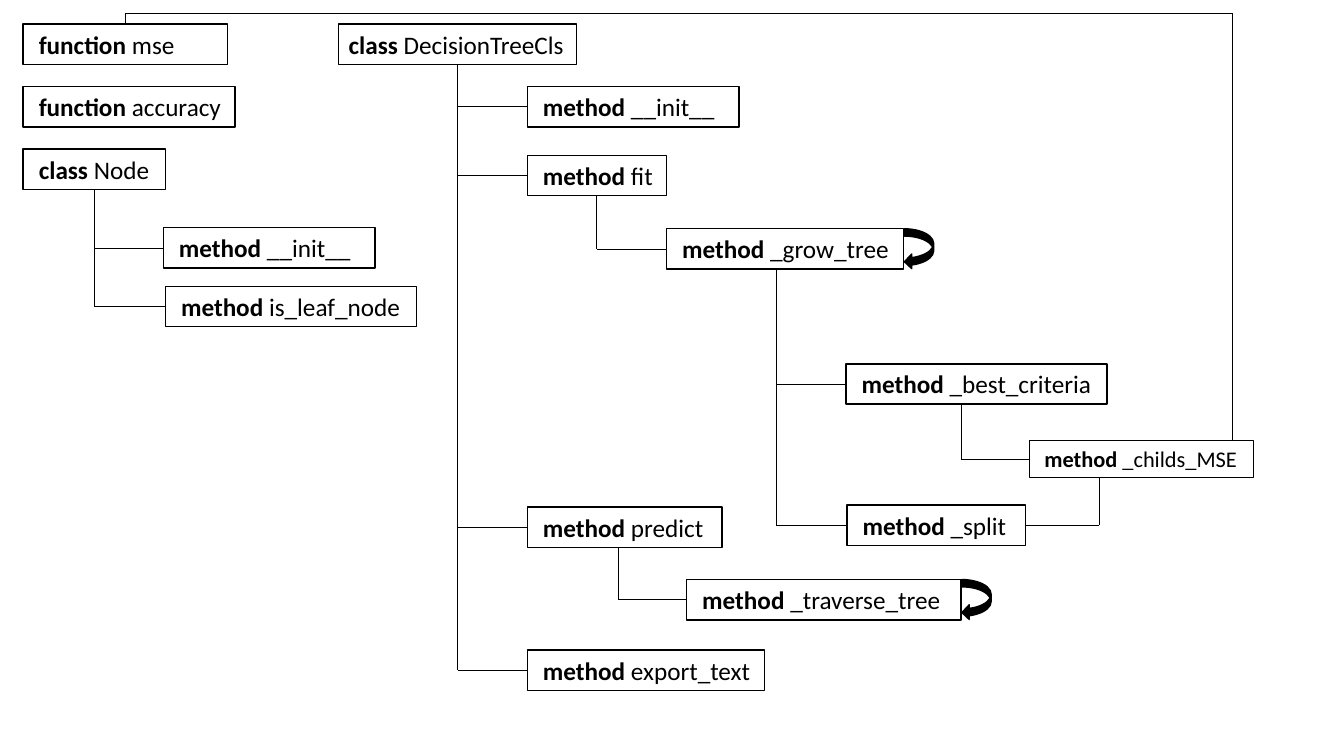
"""Build a one-slide call map of the functions, classes and methods of a decision tree."""
from lxml import etree
from pptx import Presentation
from pptx.dml.color import RGBColor
from pptx.enum.shapes import MSO_CONNECTOR, MSO_SHAPE
from pptx.enum.text import MSO_ANCHOR, MSO_AUTO_SIZE, PP_ALIGN
from pptx.oxml.ns import qn
from pptx.util import Inches, Pt

RECT, LOOP = MSO_SHAPE.RECTANGLE, MSO_SHAPE.CURVED_LEFT_ARROW
STRAIGHT = MSO_CONNECTOR.STRAIGHT
TOP, LEFT, BOTTOM, RIGHT = range(4)

BOXES = {
    "mse": (" ", "function ", "mse", 0.23, 0.24, 2.03),
    "accuracy": (" ", "function ", "accuracy", 0.23, 0.86, 2.1),
    "node": (" ", "class ", "Node", 0.23, 1.48, 1.41),
    "node_init": (" ", "method", " __init__", 1.62, 2.26, 2.1),
    "is_leaf": (" ", "method ", "is_leaf_node", 1.64, 2.84, 2.49),
    "tree": ("", "class ", "DecisionTreeCls", 3.36, 0.24, 2.36),
    "tree_init": (" ", "method", " __init__", 5.23, 0.86, 2.1),
    "fit": (" ", "method ", "fit", 5.23, 1.54, 1.38),
    "predict": (" ", "method ", "predict", 5.23, 5.03, 1.93),
    "export": (" ", "method ", "export_text", 5.23, 6.45, 2.35),
    "grow": (" ", "method", " _grow_tree", 6.61, 2.27, 2.35),
    "criteria": (" ", "method", " _best_criteria", 8.39, 3.61, 2.59),
    "split": (" ", "method", " _split", 8.4, 5.01, 1.77),
    "childs": (" ", "method", " _childs_MSE", 10.21, 4.37, 2.22),
    "traverse": (" ", "method", " _traverse_tree", 6.81, 5.75, 2.72),
}
SMALL = {"childs"}
BRANCHES = [
    ("node", None, LEFT, ["node_init", "is_leaf"]),
    ("tree", None, LEFT, ["tree_init", "fit", "predict", "export"]),
    ("fit", None, LEFT, ["grow"]),
    ("grow", 7.7, LEFT, ["criteria", "split"]),
    ("criteria", 9.53, LEFT, ["childs"]),
    ("childs", 10.9, RIGHT, ["split"]),
    ("predict", 6.13, LEFT, ["traverse"]),
]
RECURSIVE = ["grow", "traverse"]
BUS_Y, BUS_RIGHT = 0.13, 12.22
LOOP_W, LOOP_H, LOOP_GAP = 0.29, 0.4, 0.01

THEME = {
    "ink": RGBColor(0, 0, 0), "font": "Calibri",
    "size": Pt(18), "small": Pt(16), "height": 0.4, "small_height": 0.37,
    "border": Pt(1), "wire": Pt(0.5),
}
FRAME = {"word_wrap": True, "auto_size": MSO_AUTO_SIZE.SHAPE_TO_FIT_TEXT,
         "vertical_anchor": MSO_ANCHOR.TOP}


def apply(obj, values):
    for name, value in values.items():
        setattr(obj, name, value)


def add_shape(s, kind, x, y, w, h):
    sp = s.shapes.add_shape(kind, *map(Inches, (x, y, w, h)))
    sp.shadow.inherit = False
    sp.line.color.rgb = THEME["ink"]
    sp.line.width = THEME["border"]
    return sp


def add_box(s, key):
    *texts, x, y, w = BOXES[key]
    size = THEME["small" if key in SMALL else "size"]
    sp = add_shape(s, RECT, x, y, w, height(key))
    sp.fill.background()
    tf = sp.text_frame
    apply(tf, FRAME)
    p = tf.paragraphs[0]
    p.alignment = PP_ALIGN.LEFT
    for text, bold in zip(texts, (False, True, False)):
        if text:
            r = p.add_run()
            r.text = text
            apply(r.font, {"name": THEME["font"], "size": size, "bold": bold})
            r.font.color.rgb = THEME["ink"]
    return sp


def height(key):
    return THEME["small_height" if key in SMALL else "height"]


def side(key, site):
    x, y, w = BOXES[key][3:]
    h = height(key)
    return {TOP: (x + w / 2, y), LEFT: (x, y + h / 2),
            BOTTOM: (x + w / 2, y + h), RIGHT: (x + w, y + h / 2)}[site]


def add_wire(s, start, end, begin_join=None, end_join=None):
    c = s.shapes.add_connector(STRAIGHT, *map(Inches, (*start, *end)))
    c.line.color.rgb = THEME["ink"]
    c.line.width = THEME["wire"]
    etree.SubElement(c._element.spPr, qn("a:effectLst"))
    if begin_join:
        c.begin_connect(*begin_join)
    if end_join:
        c.end_connect(*end_join)


def main():
    prs = Presentation()
    prs.slide_width, prs.slide_height = Inches(13.33), Inches(7.5)
    s = prs.slides.add_slide(prs.slide_layouts[6])
    boxes = {key: add_box(s, key) for key in BOXES}

    for parent, trunk_x, site, children in BRANCHES:
        center_x, bottom = side(parent, BOTTOM)
        join = (boxes[parent], BOTTOM) if trunk_x is None else None
        x = center_x if trunk_x is None else trunk_x
        add_wire(s, (x, bottom), (x, side(children[-1], site)[1]), join)
        for child in children:
            end = side(child, site)
            add_wire(s, (x, end[1]), end, end_join=(boxes[child], site))

    mse_top = side("mse", TOP)
    corner, far_corner = (mse_top[0], BUS_Y), (BUS_RIGHT, BUS_Y)
    add_wire(s, mse_top, corner, (boxes["mse"], TOP))
    add_wire(s, corner, far_corner)
    add_wire(s, far_corner, (BUS_RIGHT, side("childs", TOP)[1]))

    for key in RECURSIVE:
        x, y = side(key, RIGHT)
        sp = add_shape(s, LOOP, x + LOOP_GAP, y - LOOP_H / 2, LOOP_W, LOOP_H)
        sp.fill.solid()
        sp.fill.fore_color.rgb = THEME["ink"]

    prs.save("out.pptx")


if __name__ == "__main__":
    main()
